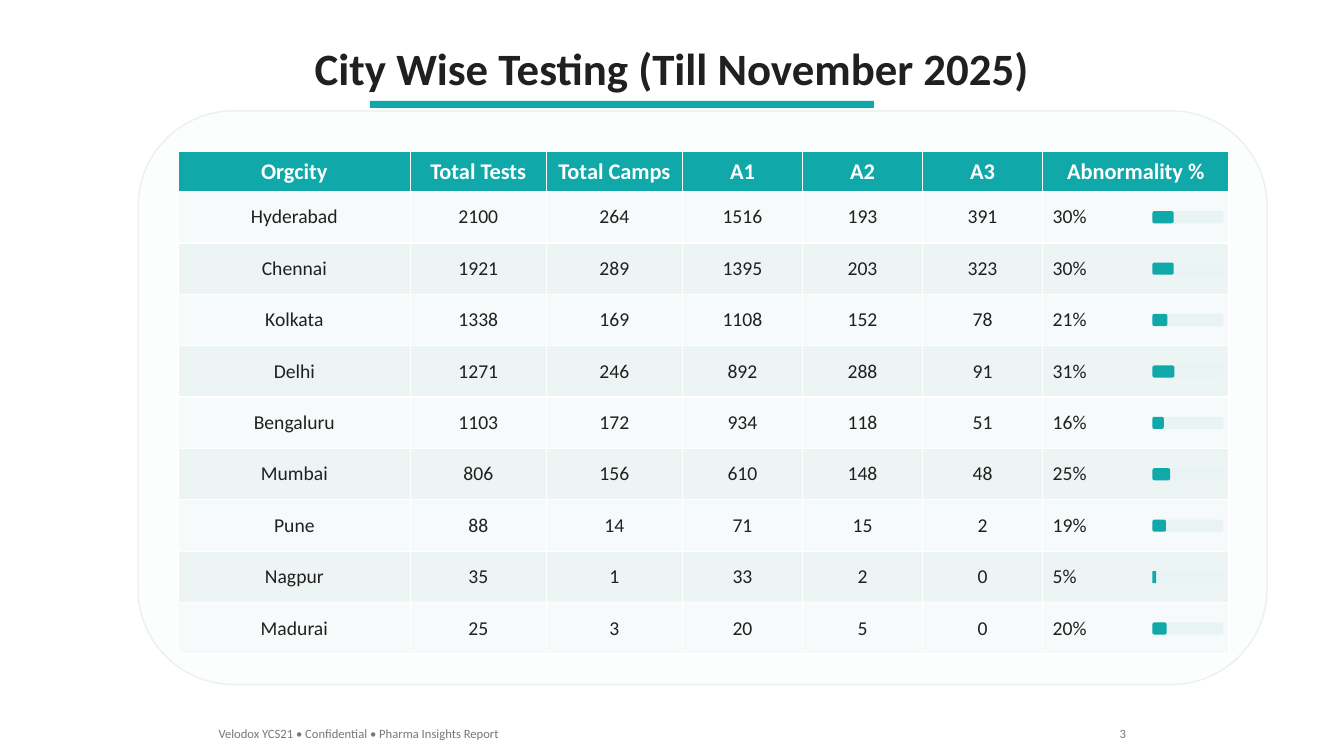
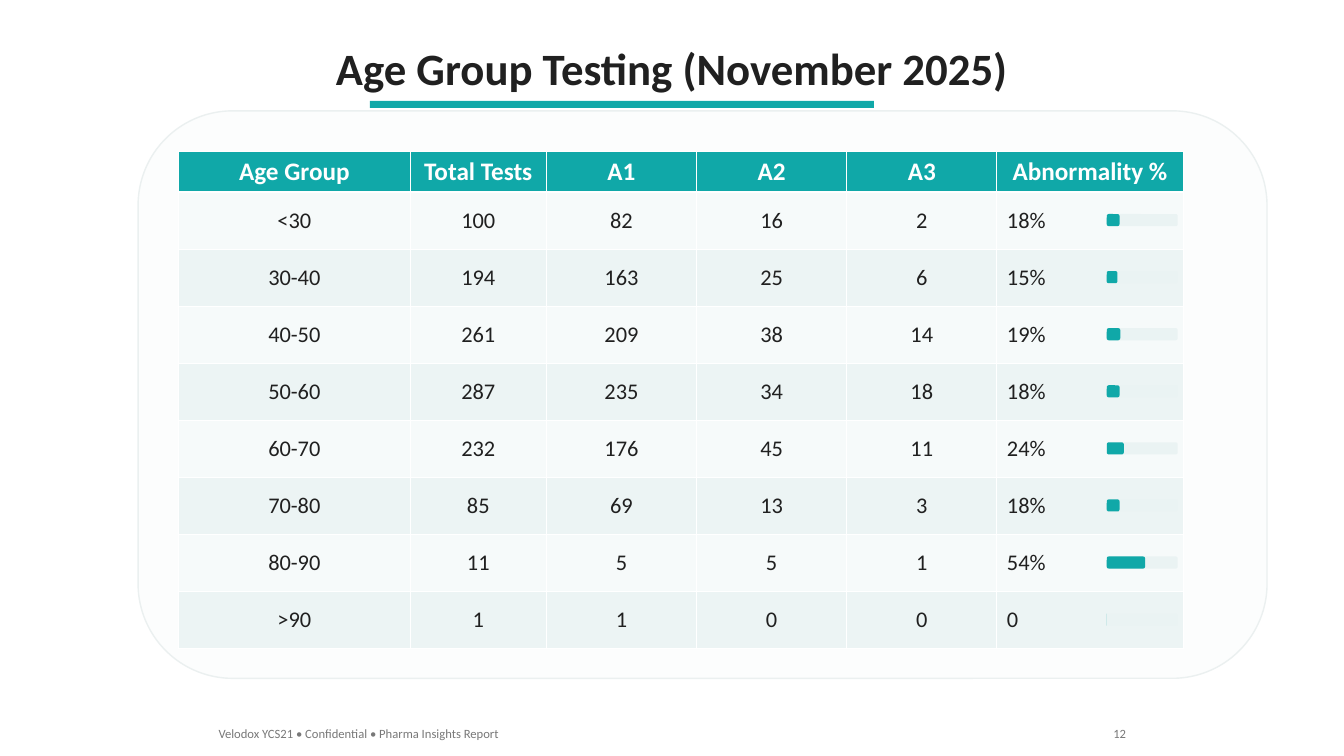
from pptx import Presentation
from pptx.dml.color import RGBColor
from pptx.enum.shapes import MSO_SHAPE
from pptx.enum.text import MSO_ANCHOR, PP_ALIGN
from pptx.util import Inches, Pt

RECT, ROUNDED = MSO_SHAPE.RECTANGLE, MSO_SHAPE.ROUNDED_RECTANGLE
MIDDLE = MSO_ANCHOR.MIDDLE
LEFT, CENTER, RIGHT = PP_ALIGN.LEFT, PP_ALIGN.CENTER, PP_ALIGN.RIGHT

FONT = "Calibri"
COLORS = {
    "accent": "10A8A8",
    "ink": "202020",
    "muted": "787878",
    "white": "FFFFFF",
    "card": "FCFDFD",
    "card_edge": "EBF0F0",
    "odd_row": "F6FAFA",
    "even_row": "ECF4F4",
    "track": "EAF3F3",
}

CELL = Inches(0.1)
SLIDE_COLS, SLIDE_ROWS = 133.33, 75
TABLE_LEFT, TABLE_TOP, HEADER_ROWS = 17.7, 15, 4
CARD_MARGIN = 4
CARD_PADDING = 7
TRACK_COLS, TRACK_ROWS, TRACK_INSET = 7.04, 1.2, 7.6
FOOTER = "Velodox YCS21 • Confidential • Pharma Insights Report"

CITIES = {
    "title": "City Wise Testing (Till November 2025)",
    "page": 3,
    "columns": [23, 13.5, 13.5, 11.91, 11.91, 11.91, 18.5],
    "body_rows": 45.9,
    "text_size": 14,
    "header": ["Orgcity", "Total Tests", "Total Camps", "A1", "A2", "A3", "Abnormality %"],
    "records": [
        ("Hyderabad", 2100, 264, 1516, 193, 391, 30),
        ("Chennai", 1921, 289, 1395, 203, 323, 30),
        ("Kolkata", 1338, 169, 1108, 152, 78, 21),
        ("Delhi", 1271, 246, 892, 288, 91, 31),
        ("Bengaluru", 1103, 172, 934, 118, 51, 16),
        ("Mumbai", 806, 156, 610, 148, 48, 25),
        ("Pune", 88, 14, 71, 15, 2, 19),
        ("Nagpur", 35, 1, 33, 2, 0, 5),
        ("Madurai", 25, 3, 20, 5, 0, 20),
    ],
}

AGE_GROUPS = {
    "title": "Age Group Testing (November 2025)",
    "page": 12,
    "columns": [23, 13.5, 14.9, 14.9, 14.9, 18.5],
    "body_rows": 45.3,
    "text_size": 16,
    "header": ["Age Group", "Total Tests", "A1", "A2", "A3", "Abnormality %"],
    "records": [
        ("<30", 100, 82, 16, 2, 18),
        ("30-40", 194, 163, 25, 6, 15),
        ("40-50", 261, 209, 38, 14, 19),
        ("50-60", 287, 235, 34, 18, 18),
        ("60-70", 232, 176, 45, 11, 24),
        ("70-80", 85, 69, 13, 3, 18),
        ("80-90", 11, 5, 5, 1, 54),
        (">90", 1, 1, 0, 0, 0, 0),
    ],
}


def grid(*cells):
    return [round(CELL * cell) for cell in cells]


def color(name):
    return RGBColor.from_string(COLORS[name])


def write(frame, text, size, ink, align, bold=False):
    frame.text = str(text)
    paragraph = frame.paragraphs[0]
    paragraph.alignment = align
    font = paragraph.font
    font.name, font.size, font.bold = FONT, Pt(size), bold
    font.color.rgb = color(ink)


def add_block(slide, kind, box, fill, edge=None):
    block = slide.shapes.add_shape(kind, *grid(*box))
    block.shadow.inherit = False
    block.fill.solid()
    block.fill.fore_color.rgb = color(fill)
    if edge:
        block.line.color.rgb = color(edge)
        block.line.width = Pt(1)
    else:
        block.line.fill.background()


def add_title(slide, text):
    title = slide.shapes.title
    title.left, title.top, title.width, title.height = grid(0, 3.5, SLIDE_COLS, 6.4)
    title.text_frame.vertical_anchor = MIDDLE
    write(title.text_frame, text, 32, "ink", CENTER, bold=True)
    add_block(slide, RECT, (36.7, 10, 50, 0.7), "accent")


def add_footer(slide, page):
    for text, left, width, align in ((FOOTER, 20.7, 40, LEFT), (page, 102.7, 10, RIGHT)):
        note = slide.shapes.add_textbox(*grid(left, 71.5, width, 2.5))
        note.text_frame.word_wrap = True
        write(note.text_frame, text, 9, "muted", align)


def fill_cell(cell, text, fill, size, ink, align, bold=False):
    cell.fill.solid()
    cell.fill.fore_color.rgb = color(fill)
    cell.vertical_anchor = MIDDLE
    write(cell.text_frame, text, size, ink, align, bold)


def add_results(slide, report):
    header, records, size = report["header"], report["records"], report["text_size"]
    width, height = sum(report["columns"]), HEADER_ROWS + report["body_rows"]
    table = slide.shapes.add_table(
        len(records) + 1, len(header), *grid(TABLE_LEFT, TABLE_TOP, width, height)
    ).table
    for column, cells in zip(table.columns, report["columns"]):
        column.width, = grid(cells)
    row_height = report["body_rows"] / len(records)
    for index, row in enumerate(table.rows):
        row.height, = grid(row_height if index else HEADER_ROWS)
    for cell, label in zip(table.rows[0].cells, header):
        fill_cell(cell, label, "accent", size + 2, "white", CENTER, bold=True)

    track_left = TABLE_LEFT + width - TRACK_INSET
    for index, (*counts, percent) in enumerate(records):
        texts = [*counts, f"{percent}%"]
        fill = "even_row" if index % 2 else "odd_row"
        for column, text in enumerate(texts[:len(header)]):
            align = LEFT if column == len(header) - 1 else CENTER
            fill_cell(table.cell(index + 1, column), text, fill, size, "ink", align)
        middle = TABLE_TOP + HEADER_ROWS + (index + 0.5) * row_height
        for share, paint in ((1, "track"), (percent / 100, "accent")):
            box = (track_left, middle - TRACK_ROWS / 2, TRACK_COLS * share, TRACK_ROWS)
            add_block(slide, ROUNDED, box, paint)


def add_report(deck, report):
    slide = deck.slides.add_slide(deck.slide_layouts.get_by_name("Title Only"))
    add_title(slide, report["title"])
    card_height = HEADER_ROWS + report["body_rows"] + CARD_PADDING
    card = (TABLE_LEFT - CARD_MARGIN, TABLE_TOP - CARD_MARGIN, 112, card_height)
    add_block(slide, ROUNDED, card, "card", "card_edge")
    add_results(slide, report)
    add_footer(slide, report["page"])


def main():
    deck = Presentation()
    deck.slide_width, deck.slide_height = grid(SLIDE_COLS, SLIDE_ROWS)
    for report in (CITIES, AGE_GROUPS):
        add_report(deck, report)
    deck.save("out.pptx")


if __name__ == "__main__":
    main()
